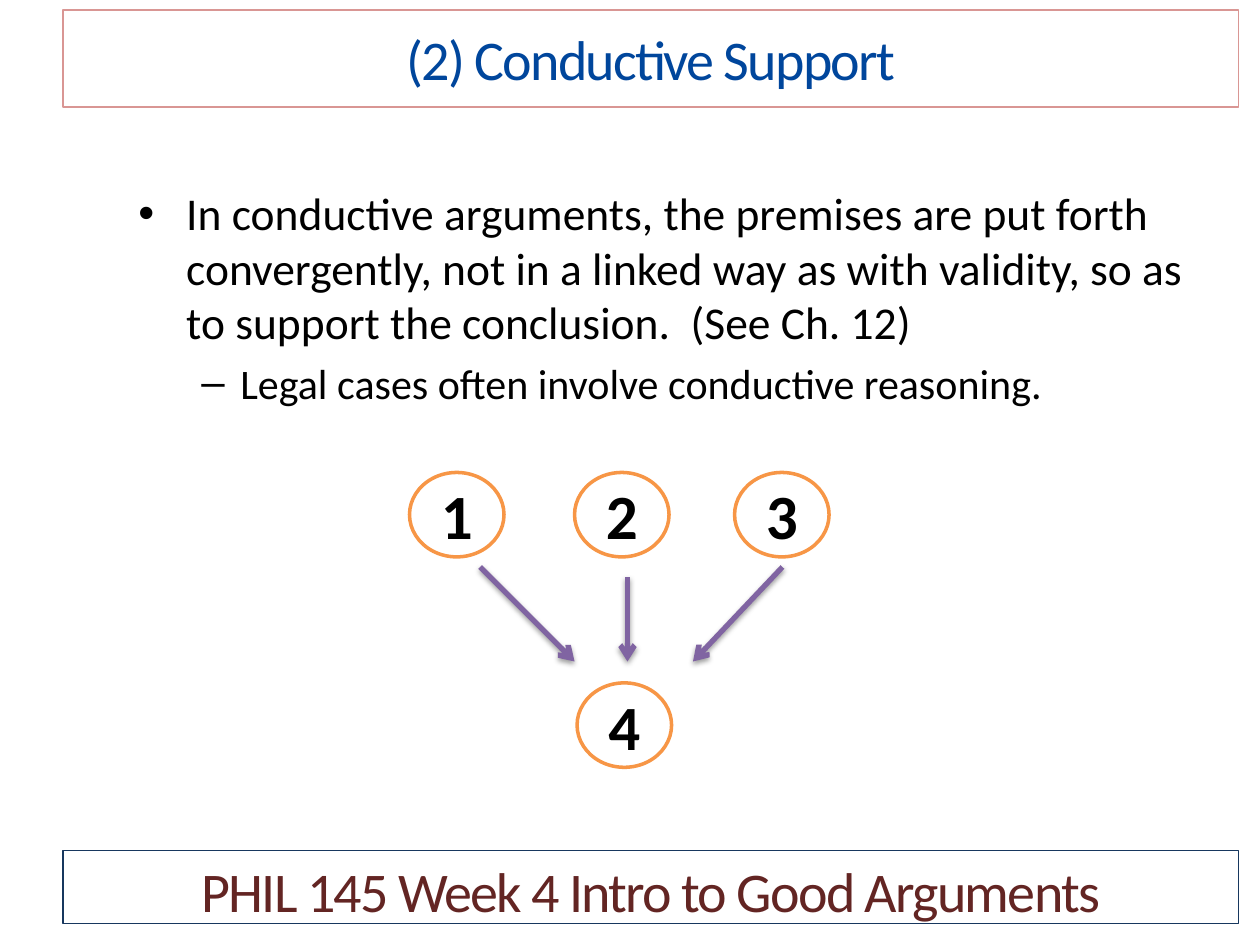
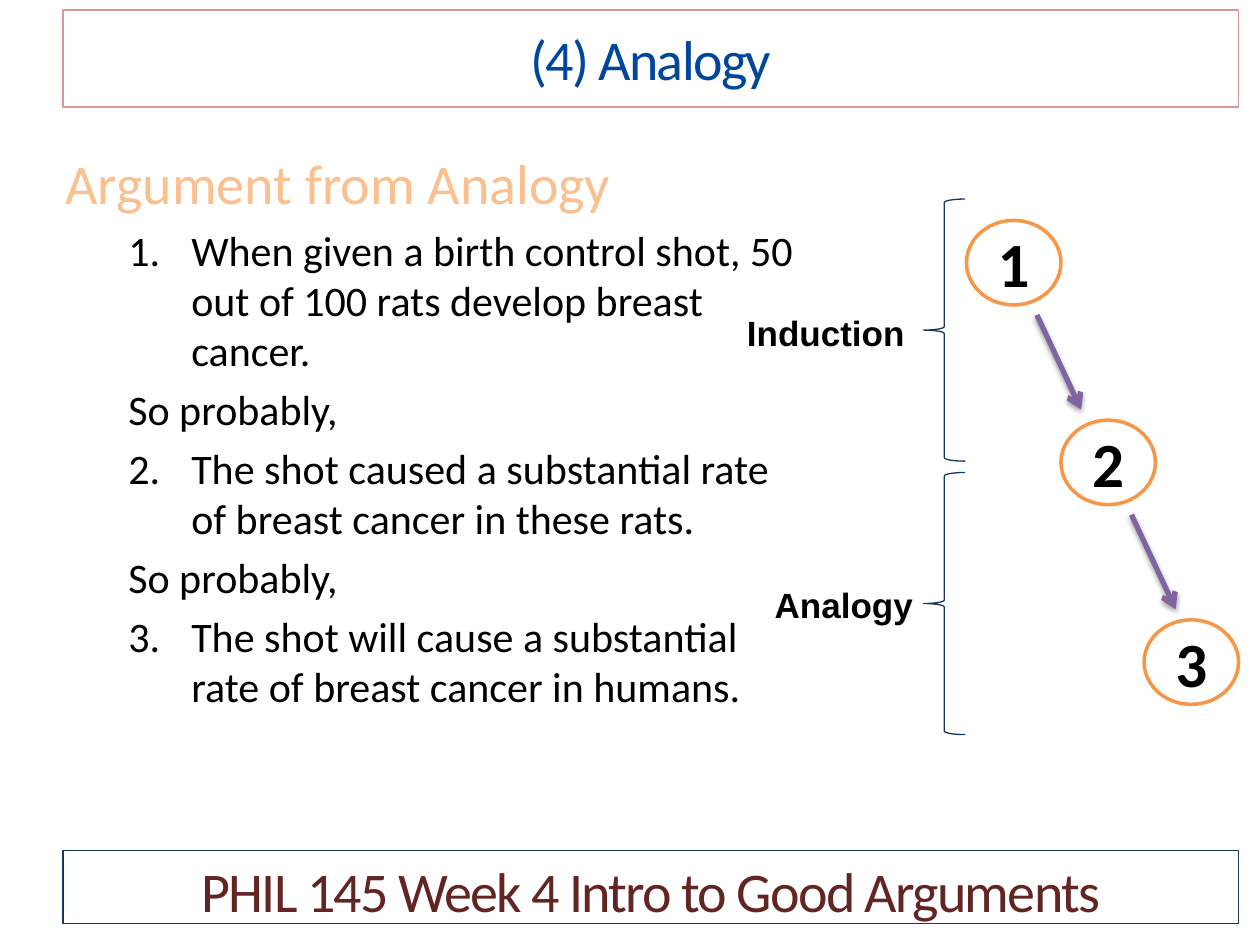
from dataclasses import dataclass
from lxml.etree import SubElement
from pptx import Presentation
from pptx.dml.color import RGBColor
from pptx.enum.shapes import MSO_CONNECTOR, MSO_SHAPE
from pptx.enum.text import MSO_ANCHOR, MSO_AUTO_SIZE, PP_ALIGN
from pptx.oxml.ns import qn
from pptx.shapes.autoshape import Shape
from pptx.slide import Slide
from pptx.text.text import TextFrame
from pptx.util import Inches, Pt


# Theme: colours, fonts and type sizes
@dataclass(frozen=True)
class Theme:
    font: str = "Calibri"
    label: str = "Arial"
    black: str = "000000"
    white: str = "FFFFFF"
    title: str = "00469C"
    foot: str = "632523"
    head: str = "FAC090"
    pink: str = "D99694"
    navy: str = "17375E"
    orange: str = "F79646"
    purple: str = "8064A2"
    band_size: int = 32
    lead_size: int = 26
    body_size: int = 24
    node_size: int = 36
    label_size: int = 20


@dataclass(frozen=True)
class Box:
    left: float
    top: float
    width: float
    height: float

    def spread(self) -> tuple:
        return tuple(Inches(v) for v in (self.left, self.top, self.width, self.height))


@dataclass(frozen=True)
class Item:
    text: str
    size: int = 24
    color: str = "000000"
    level: int = 1
    left: float = 0.5
    hang: float = 0
    mark: str = ""
    number: int = 0


@dataclass(frozen=True)
class Node:
    text: str
    left: float
    top: float


@dataclass(frozen=True)
class Arrow:
    x1: float
    y1: float
    x2: float
    y2: float


THEME = Theme()
TITLE = Box(0.5, 0.08, 9.33, 0.77)
FOOT = Box(0.5, 6.75, 9.33, 0.58)
COURSE = "PHIL 145 Week 4 Intro to Good Arguments"


# Text
def write(frame: TextFrame, text: str, *, size: int, color: str = THEME.black,
          font: str = THEME.font, bold: bool = False, track: float = 0,
          align: PP_ALIGN = PP_ALIGN.LEFT, first: bool = True):
    para = frame.paragraphs[0] if first else frame.add_paragraph()
    para.alignment = align
    run = para.add_run()
    run.text = text
    run.font.size, run.font.name, run.font.bold = Pt(size), font, bold
    run.font.color.rgb = RGBColor.from_string(color)
    if track:
        run._r.get_or_add_rPr().set("spc", str(int(track * 100)))
    return para


def add_body(slide: Slide, box: Box, items: list[Item]) -> None:
    frame = slide.shapes.add_textbox(*box.spread()).text_frame
    frame.word_wrap = True
    for i, item in enumerate(items):
        para = write(frame, item.text, size=item.size, color=item.color, first=i == 0)
        para.level = item.level
        para.space_before = Pt(item.size * 0.2)
        props = para._p.get_or_add_pPr()
        props.set("marL", str(Inches(item.left)))
        props.set("indent", str(Inches(-item.hang)))
        if item.mark:
            SubElement(props, qn("a:buFont"), typeface=THEME.label)
            SubElement(props, qn("a:buChar"), char=item.mark)
        elif item.number:
            SubElement(props, qn("a:buFont"), typeface=THEME.font)
            SubElement(props, qn("a:buAutoNum"), type="arabicPeriod",
                       startAt=str(item.number))
        else:
            SubElement(props, qn("a:buNone"))


def add_label(slide: Slide, box: Box, text: str) -> None:
    frame = slide.shapes.add_textbox(*box.spread()).text_frame
    frame.word_wrap = False
    frame.auto_size = MSO_AUTO_SIZE.SHAPE_TO_FIT_TEXT
    write(frame, text, size=THEME.label_size, font=THEME.label, bold=True)


# Shapes
def add_form(slide: Slide, kind: MSO_SHAPE, box: Box, *, line: str,
             width: float = 0.75, fill: str = "") -> Shape:
    form = slide.shapes.add_shape(kind, *box.spread())
    form.shadow.inherit = False
    form.line.color.rgb = RGBColor.from_string(line)
    form.line.width = Pt(width)
    if fill:
        form.fill.solid()
        form.fill.fore_color.rgb = RGBColor.from_string(fill)
    else:
        form.fill.background()
    return form


def add_band(slide: Slide, box: Box, text: str, *, line: str, color: str,
             anchor: MSO_ANCHOR) -> None:
    frame = add_form(slide, MSO_SHAPE.RECTANGLE, box, line=line).text_frame
    frame.word_wrap = True
    frame.vertical_anchor = anchor
    write(frame, text, size=THEME.band_size, color=color, track=-1,
          align=PP_ALIGN.CENTER)


def add_node(slide: Slide, node: Node) -> None:
    form = add_form(slide, MSO_SHAPE.OVAL, Box(node.left, node.top, 0.75, 0.67),
                    line=THEME.orange, width=2, fill=THEME.white)
    form.text_frame.vertical_anchor = MSO_ANCHOR.MIDDLE
    write(form.text_frame, node.text, size=THEME.node_size, bold=True,
          align=PP_ALIGN.CENTER)


def add_arrow(slide: Slide, arrow: Arrow) -> None:
    ends = (Inches(v) for v in (arrow.x1, arrow.y1, arrow.x2, arrow.y2))
    link = slide.shapes.add_connector(MSO_CONNECTOR.STRAIGHT, *ends)
    link.line.color.rgb = RGBColor.from_string(THEME.purple)
    link.line.width = Pt(3)
    SubElement(link.line._get_or_add_ln(), qn("a:tailEnd"), type="arrow")
    # Soft shadow straight below the line
    effects = SubElement(link._element.spPr, qn("a:effectLst"))
    shade = SubElement(effects, qn("a:outerShdw"), blurRad=str(Pt(3.1)),
                       dist=str(Pt(1.6)), dir="5400000", rotWithShape="0")
    tint = SubElement(shade, qn("a:srgbClr"), val=THEME.black)
    SubElement(tint, qn("a:alpha"), val="38000")


# Slide frame: blank layout with title and footer bands
def add_slide(deck: Presentation, title: str) -> Slide:
    slide = deck.slides.add_slide(deck.slide_layouts[6])
    add_band(slide, TITLE, title, line=THEME.pink, color=THEME.title,
             anchor=MSO_ANCHOR.MIDDLE)
    add_band(slide, FOOT, COURSE, line=THEME.navy, color=THEME.foot,
             anchor=MSO_ANCHOR.TOP)
    return slide


def add_graph(slide: Slide, nodes: list[Node], arrows: list[Arrow]) -> None:
    for node in nodes:
        add_node(slide, node)
    for arrow in arrows:
        add_arrow(slide, arrow)


# Slide 1: three premises converge on one conclusion
def build_support(deck: Presentation) -> None:
    slide = add_slide(deck, "(2) Conductive Support")
    add_body(slide, Box(1, 1.42, 8.5, 5), [
        Item("In conductive arguments, the premises are put forth convergently, "
             "not in a linked way as with validity, so as to support the "
             "conclusion.  (See Ch. 12)",
             size=THEME.lead_size, level=0, left=0.38, hang=0.38, mark="•"),
        Item("Legal cases often involve conductive reasoning.",
             left=0.81, hang=0.31, mark="–"),
    ])
    tops = [Node(str(i), x, 3.75) for i, x in enumerate((3.25, 4.56, 5.83), 1)]
    add_graph(slide, tops + [Node("4", 4.58, 5.42)], [
        Arrow(3.81, 4.5, 4.56, 5.25),
        Arrow(6.21, 4.5, 5.5, 5.25),
        Arrow(4.98, 4.58, 4.98, 5.25),
    ])


# Slide 2: a chain of two inferences
def build_analogy(deck: Presentation) -> None:
    slide = add_slide(deck, "(4) Analogy")
    steps = [
        "When given a birth control shot, 50 out of 100 rats develop breast cancer.",
        "The shot caused a substantial rate of breast cancer in these rats.",
        "The shot will cause a substantial rate of breast cancer in humans.",
    ]
    items = [Item("Argument from Analogy", size=THEME.band_size, color=THEME.head,
                  level=0, left=0.38, hang=0.38)]
    for i, step in enumerate(steps, 1):
        if i > 1:
            items.append(Item("So probably,"))
        items.append(Item(step, left=1, hang=0.5, number=i))
    add_body(slide, Box(0.42, 1.13, 6, 5.37), items)

    drop = 1.585
    nodes = [Node(str(i + 1), x, 1.75 + i * drop)
             for i, x in enumerate((7.67, 8.42, 9.08))]
    arrows = [Arrow(8.23 + i * 0.75, 2.5 + i * drop, 8.58 + i * 0.75, 3.25 + i * drop)
              for i in range(2)]
    add_graph(slide, nodes, arrows)

    for top in (1.58, 3.75):
        add_form(slide, MSO_SHAPE.LEFT_BRACE, Box(7.33, top, 0.33, 2.08),
                 line=THEME.navy)
    add_label(slide, Box(5.83, 2.42, 1.46, 0.44), "Induction")
    add_label(slide, Box(6.05, 4.58, 1.31, 0.44), "Analogy")


deck = Presentation()
deck.slide_width, deck.slide_height = Inches(10), Inches(7.5)
build_support(deck)
build_analogy(deck)
deck.save("out.pptx")
